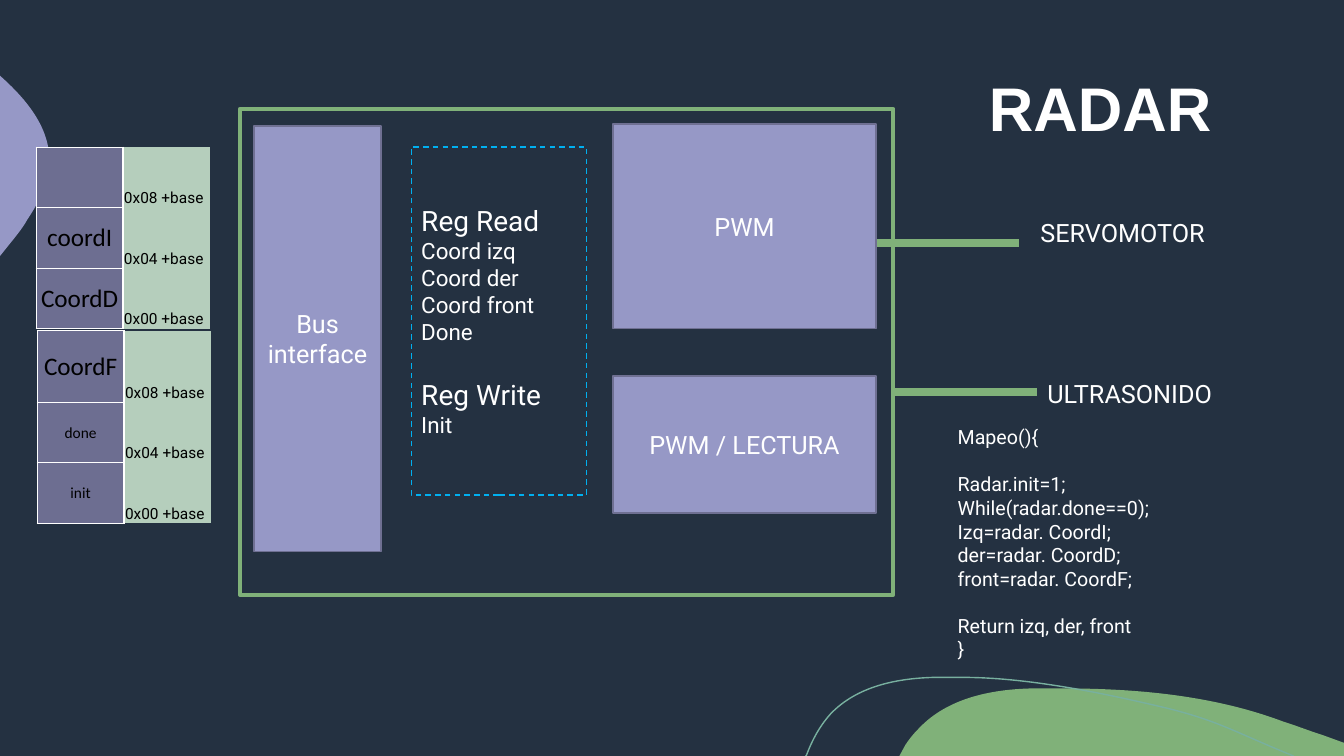
from lxml.etree import SubElement
from pptx import Presentation
from pptx.dml.color import RGBColor
from pptx.enum.dml import MSO_LINE
from pptx.enum.shapes import MSO_CONNECTOR, MSO_SHAPE
from pptx.enum.text import MSO_ANCHOR, PP_ALIGN
from pptx.oxml.ns import qn
from pptx.util import Inches, Pt

NAVY = RGBColor(0x24, 0x31, 0x41)
WHITE = RGBColor(0xFF, 0xFF, 0xFF)
BLACK = RGBColor(0, 0, 0)
GREEN = RGBColor(0x80, 0xB1, 0x79)
TEAL = RGBColor(0x78, 0xB0, 0x9F)
LILAC = RGBColor(0x96, 0x98, 0xC6)
LILAC_EDGE = RGBColor(0x6F, 0x70, 0x92)
CYAN = RGBColor(0, 0xB0, 0xF0)
LABEL_FILL = RGBColor(0x6D, 0x6E, 0x91)
ADDRESS_FILL = RGBColor(0xB5, 0xCE, 0xBC)

PLAIN_TABLE = "{2D5ABB26-0587-4C30-8999-92F81FD0307C}"
ROWS_PER_REGISTER = 3

# Each curve: start point, then Bézier (6 numbers) or straight (2 numbers) pieces.
GREEN_HILL = [(10.54, 6.83), (11.28, 6.83, 12.04, 6.9, 12.73, 7.16),
              (12.86, 7.2, 12.98, 7.25, 13.11, 7.29), (13.33, 7.37), (13.33, 7.5),
              (8.92, 7.5), (8.98, 7.39), (9.02, 7.33, 9.06, 7.28, 9.11, 7.23),
              (9.39, 6.93, 9.82, 6.84, 10.23, 6.83),
              (10.33, 6.83, 10.43, 6.83, 10.54, 6.83)]
LILAC_DROP = [(0, 0.75), (0.01, 0.76), (0.3, 1.02, 0.54, 1.33, 0.48, 1.7),
              (0.46, 1.87, 0.37, 2.03, 0.27, 2.18),
              (0.24, 2.24, 0.17, 2.33, 0.08, 2.44), (0, 2.54)]
TEAL_ARC = [(7.99, 7.5), (8, 7.49), (8.06, 7.33, 8.14, 7.19, 8.24, 7.08),
            (8.5, 6.81, 8.89, 6.73, 9.26, 6.72), (9.55, 6.72),
            (10.22, 6.72, 11, 6.89, 11.55, 7.02),
            (12.09, 7.15, 12.26, 7.27, 12.83, 7.5)]


def paint(sp, fill=None, line=None, width=1):
    sp.shadow.inherit = False
    if fill is None:
        sp.fill.background()
    else:
        sp.fill.solid()
        sp.fill.fore_color.rgb = fill
    if line is None:
        sp.line.fill.background()
    else:
        sp.line.color.rgb = line
        sp.line.width = Pt(width)


def add_blob(slide, curve, fill=None, line=None):
    """Build the outline from its corner points, then bend the curved pieces."""
    corners = [(Inches(piece[-2]), Inches(piece[-1])) for piece in curve]
    builder = slide.shapes.build_freeform(*corners[0], scale=1.0)
    builder.add_line_segments(corners[1:], close=fill is not None)
    sp = builder.convert_to_shape()
    segments = list(sp._element.iter(qn("a:lnTo")))
    for segment, piece in zip(segments, curve[1:]):
        if len(piece) == 2:
            continue
        segment.tag = qn("a:cubicBezTo")
        segment.remove(segment[0])
        for x, y in zip(piece[::2], piece[1::2]):
            SubElement(segment, qn("a:pt"),
                       x=str(Inches(x) - sp.left), y=str(Inches(y) - sp.top))
    paint(sp, fill, line)


def write(tf, lines, align=PP_ALIGN.LEFT, font="Roboto", color=WHITE, bold=False):
    """Fill a text frame with (text, size, space before) lines."""
    for i, (text, size, gap) in enumerate(lines):
        p = tf.add_paragraph() if i else tf.paragraphs[0]
        p.alignment = align
        p.space_before = Pt(gap)
        p.font.name = font
        p.font.size = Pt(size)
        p.font.bold = bold
        p.font.color.rgb = color
        p.add_run().text = text


def add_text(slide, box, lines, wrap=True, **style):
    tf = slide.shapes.add_textbox(*map(Inches, box)).text_frame
    tf.word_wrap = wrap
    write(tf, lines, **style)
    return tf


def add_box(slide, box, lines=(), align=PP_ALIGN.CENTER, **look):
    sp = slide.shapes.add_shape(MSO_SHAPE.RECTANGLE, *map(Inches, box))
    paint(sp, **look)
    sp.text_frame.vertical_anchor = MSO_ANCHOR.MIDDLE
    write(sp.text_frame, lines, align)
    return sp


def add_link(slide, x, y, length):
    link = slide.shapes.add_connector(
        MSO_CONNECTOR.STRAIGHT, Inches(x), Inches(y), Inches(x + length), Inches(y))
    link.line.color.rgb = GREEN
    link.line.width = Pt(6)
    SubElement(link._element.spPr, qn("a:effectLst"))


def border(cell):
    tc_pr = cell._tc.get_or_add_tcPr()
    for i, side in enumerate(("a:lnL", "a:lnR", "a:lnT", "a:lnB")):
        ln = tc_pr.makeelement(qn(side), {"w": str(Pt(1))})
        SubElement(SubElement(ln, qn("a:solidFill")), qn("a:srgbClr"), val=str(WHITE))
        tc_pr.insert(i, ln)


def style_cell(cell, fill, anchor):
    cell.fill.solid()
    cell.fill.fore_color.rgb = fill
    cell.vertical_anchor = anchor
    cell.margin_left = cell.margin_right = cell.margin_top = Inches(0.01)
    cell.margin_bottom = 0
    # an empty cell must not stretch its row
    cell.text_frame.paragraphs[0]._p.get_or_add_endParaRPr().set("sz", "1000")


def add_register_map(slide, left, top, registers):
    """Draw registers given as (label, label size, address)."""
    count = len(registers) * ROWS_PER_REGISTER
    frame = slide.shapes.add_table(
        count, 2, Inches(left), Inches(top), Inches(1.72), Inches(0.2 * count))
    table = frame.table
    table.first_row = table.horz_banding = False
    table._tbl.tblPr.find(qn("a:tableStyleId")).text = PLAIN_TABLE
    for row in range(count):
        label, size, address = registers[row // ROWS_PER_REGISTER]
        name_cell, address_cell = table.cell(row, 0), table.cell(row, 1)
        style_cell(name_cell, LABEL_FILL, MSO_ANCHOR.MIDDLE)
        style_cell(address_cell, ADDRESS_FILL, MSO_ANCHOR.BOTTOM)
        if row % ROWS_PER_REGISTER == 0:
            name_cell.merge(table.cell(row + ROWS_PER_REGISTER - 1, 0))
            border(name_cell)
            if label:
                write(name_cell.text_frame, [(label, size, 0)],
                      PP_ALIGN.CENTER, "Calibri", BLACK)
        if row % ROWS_PER_REGISTER == ROWS_PER_REGISTER - 1:
            write(address_cell.text_frame, [(address, 11, 0)], color=BLACK)


def main():
    prs = Presentation()
    prs.slide_width, prs.slide_height = Inches(13.33), Inches(7.5)
    slide = prs.slides.add_slide(prs.slide_layouts[6])
    slide.background.fill.solid()
    slide.background.fill.fore_color.rgb = NAVY

    add_blob(slide, GREEN_HILL, fill=GREEN)
    add_blob(slide, LILAC_DROP, fill=LILAC)
    add_blob(slide, TEAL_ARC, line=TEAL)

    title = add_text(slide, (9.71, 0.18, 3.52, 1.86), [("RADAR", 44, 0)],
                     font="Arial", bold=True)
    title.vertical_anchor = MSO_ANCHOR.MIDDLE
    title.paragraphs[0].line_spacing = 0.9

    add_box(slide, (2.38, 1.08, 6.48, 4.82), line=GREEN, width=3)
    add_link(slide, 8.69, 2.41, 1.42)
    add_link(slide, 8.87, 3.89, 1.42)
    for box, text in (((2.52, 1.25, 1.26, 4.22), "Bus interface"),
                      ((6.08, 1.23, 2.61, 2.03), "PWM"),
                      ((6.08, 3.73, 2.61, 1.36), "PWM / LECTURA")):
        add_box(slide, box, [(text, 18, 0)], fill=LILAC, line=LILAC_EDGE)
    registers = add_box(slide, (4.08, 1.46, 1.74, 3.45), [
        ("Reg Read", 20, 0), ("Coord izq", 16, 0), ("Coord der", 16, 0),
        ("Coord front", 16, 0), ("Done", 16, 0), ("Reg Write", 20, 23.4),
        ("Init", 16, 0)], PP_ALIGN.LEFT, line=CYAN)
    registers.line.dash_style = MSO_LINE.DASH

    add_text(slide, (10.22, 2.11, 2.02, 0.4), [("SERVOMOTOR", 18, 0)], wrap=False)
    add_text(slide, (10.29, 3.7, 2.01, 0.4), [("ULTRASONIDO", 18, 0)], wrap=False)
    add_text(slide, (9.4, 4.17, 3.9, 2.46), [
        ("Mapeo(){", 14, 0), ("Radar.init=1;", 14, 16.8),
        ("While(radar.done==0);", 14, 0), ("Izq=radar. CoordI;", 14, 0),
        ("der=radar. CoordD;", 14, 0), ("front=radar. CoordF;", 14, 0),
        ("Return izq, der, front", 14, 16.8), ("}", 14, 0)])

    add_register_map(slide, 0.37, 3.28, [
        ("CoordF", 18, "0x08 +base"), ("done", 11, "0x04 +base"),
        ("init", 11, "0x00 +base")])
    add_register_map(slide, 0.36, 1.46, [
        ("", 18, "0x08 +base"), ("coordI", 18, "0x04 +base"),
        ("CoordD", 18, "0x00 +base")])
    prs.save("out.pptx")


if __name__ == "__main__":
    main()
